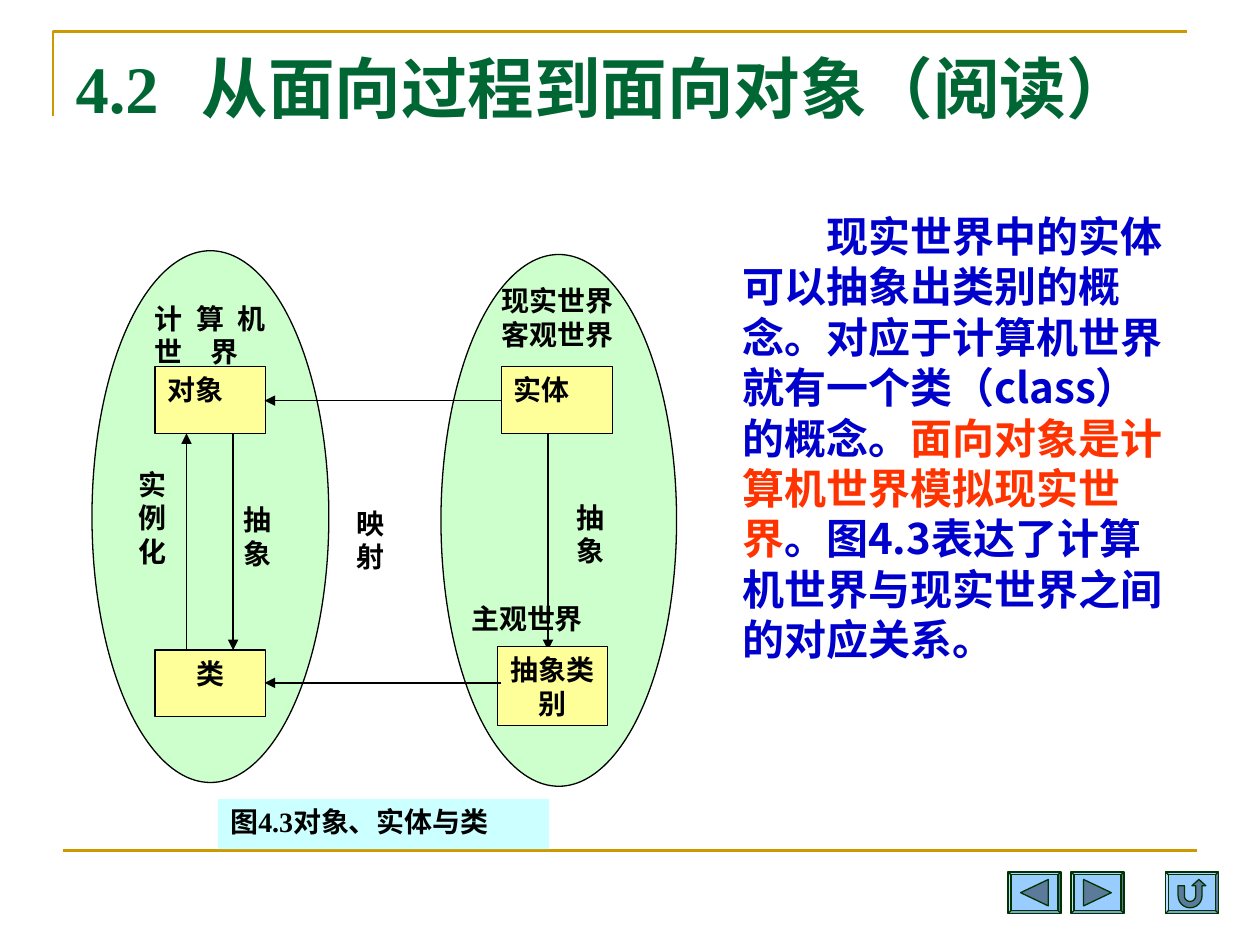
from math import cos, pi, sin

from lxml.etree import SubElement
from pptx import Presentation
from pptx.dml.color import RGBColor
from pptx.enum.shapes import MSO_CONNECTOR, MSO_SHAPE
from pptx.enum.text import MSO_AUTO_SIZE, PP_ALIGN
from pptx.oxml.ns import qn
from pptx.util import Inches, Pt

THEME = {
    "gold": "CC9900", "title": "006633", "ink": "000000", "blue": "0000CC",
    "red": "FF3300", "world": "CCFFCC", "box": "FFFF99", "caption": "CCFFFF",
    "button": "99CCFF", "icon": "5C7A99", "button_line": "003300",
    "latin": "Times New Roman", "cjk": "Noto Sans CJK SC",
    "title_size": 38, "body_size": 24, "label_size": 16,
    "leading": 1.2, "thin": 0.75, "rule": 1.5,
}

# Content: positions are (left, top, width, height) in inches
TITLE = "4.2\t从面向过程到面向对象（阅读）"
BODY = [
    ("现实世界中的实体可以抽象出类别的概念。对应于计算机世界就有一个类（class）的概念。", "blue"),
    ("面向对象是计算机世界模拟现实世界", "red"),
    ("。图4.3表达了计算机世界与现实世界之间的对应关系。", "blue"),
]
WORLDS = [(0.73, 1.99, 1.88, 4.22), (3.5, 2.02, 1.87, 4.22)]
BOXES = [
    ("对象", (1.23, 2.91, 0.88, 0.53), PP_ALIGN.JUSTIFY),
    ("类", (1.23, 5.16, 0.88, 0.53), PP_ALIGN.CENTER),
    ("实体", (3.98, 2.91, 0.88, 0.53), PP_ALIGN.JUSTIFY),
    ("抽象类别", (3.95, 5.13, 0.87, 0.63), PP_ALIGN.CENTER),
]
CAPTION = ("图4.3对象、实体与类", (1.73, 6.34, 2.63, 0.4))
LABELS = [  # text, position, side margin, top margin
    ("计算机世　界", (1.23, 2.39, 0.88, 0.4), 0, 0),
    ("现实世界\n客观世界", (3.98, 2.25, 1, 0.32), 0, 0),
    ("抽象", (4.48, 3.97, 0.63, 0.26), 0.1, 0),
    ("抽象", (1.93, 3.99, 0.35, 0.56), 0, 0),
    ("实例化", (1.1, 3.71, 0.25, 1.06), 0, 0),
    ("映射", (2.73, 3.97, 0.63, 0.4), 0.1, 0.05),
    ("主观世界", (3.74, 4.77, 0.92, 0.25), 0, 0),
]
VERTICAL_ARROWS = [(1.85, 3.44, 1.85, 5.16), (1.48, 5.16, 1.48, 3.44), (4.35, 3.44, 4.35, 5.16)]
MAPPING_ARROWS = [(3.98, 3.18, 2.1, 3.18), (3.98, 5.42, 2.1, 5.42)]


def arc(radius, start, end, steps=12):
    """Points of an arc around the bend of the return icon."""
    angles = [start + (end - start) * step / steps for step in range(steps + 1)]
    return [(0.195 + radius * cos(angle), 0.19 + radius * sin(angle)) for angle in angles]


# Icon outlines, relative to the corner of their button
RETURN_ICON = (
    [(0.1, 0.11), (0.15, 0.11)] + arc(0.045, pi, 0)
    + [(0.24, 0.11), (0.21, 0.11), (0.265, 0.06), (0.32, 0.11), (0.29, 0.11)]
    + arc(0.095, 0, pi)
)
BUTTONS = [
    (8, [(0.1, 0.165), (0.32, 0.06), (0.32, 0.27)]),
    (8.5, [(0.1, 0.06), (0.32, 0.165), (0.1, 0.27)]),
    (9.25, RETURN_ICON),
]
BUTTON_TOP, BUTTON_WIDTH, BUTTON_HEIGHT = 6.92, 0.42, 0.33


def rgb(name):
    return RGBColor.from_string(THEME[name])


def place(at):
    return [Inches(length) for length in at]


def style_shape(shape, fill=None, line=None, width=THEME["thin"]):
    shape.shadow.inherit = False
    if fill:
        shape.fill.solid()
        shape.fill.fore_color.rgb = rgb(fill)
    else:
        shape.fill.background()
    if line:
        shape.line.color.rgb = rgb(line)
        shape.line.width = Pt(width)
    else:
        shape.line.fill.background()


def style_paragraph(paragraph, size, align):
    paragraph.alignment = align
    paragraph.line_spacing = Pt(size * THEME["leading"])
    paragraph.space_before = Pt(0)


def style_run(run, size, color, latin=THEME["latin"]):
    run.font.size, run.font.bold, run.font.name = Pt(size), True, latin
    run.font.color.rgb = rgb(color)
    SubElement(run._r.get_or_add_rPr(), qn("a:ea")).set("typeface", THEME["cjk"])


def set_frame(shape, side=0.1, top=0.05):
    frame = shape.text_frame
    frame.word_wrap, frame.auto_size = True, MSO_AUTO_SIZE.NONE
    frame.vertical_anchor = 1  # top
    frame.margin_left = frame.margin_right = Inches(side)
    frame.margin_top = frame.margin_bottom = Inches(top)


def write_label(shape, text, align=PP_ALIGN.JUSTIFY, side=0.1, top=0.05):
    set_frame(shape, side, top)
    shape.text_frame.text = text
    for paragraph in shape.text_frame.paragraphs:
        style_paragraph(paragraph, THEME["label_size"], align)
        style_run(paragraph.runs[0], THEME["label_size"], "ink")


def add_line(slide, ends, color, width, arrow=False):
    connector = slide.shapes.add_connector(MSO_CONNECTOR.STRAIGHT, *place(ends))
    connector.line.color.rgb = rgb(color)
    connector.line.width = Pt(width)
    if arrow:
        SubElement(connector.line._get_or_add_ln(), qn("a:tailEnd")).set("type", "triangle")
    SubElement(connector._element.spPr, qn("a:effectLst"))


def add_outline(slide, points, close=True):
    start, *rest = [place(point) for point in points]
    builder = slide.shapes.build_freeform(*start)
    builder.add_line_segments(rest, close=close)
    return builder.convert_to_shape()


def add_frame_and_text(slide):
    # Corner frame and footer rule
    corner = add_outline(slide, [(0.42, 0.92), (0.42, 0.25), (9.42, 0.25)], close=False)
    style_shape(corner, line="gold", width=THEME["rule"])
    add_line(slide, (0.5, 6.75, 9.5, 6.75), "gold", THEME["rule"])

    # Title, with a tab stop after the section number
    title, body = slide.shapes.title, slide.placeholders[1]
    title.left, title.top, title.width, title.height = place((0.5, 0.3, 9, 0.93))
    set_frame(title, top=0.07)
    title.text_frame.text = TITLE
    paragraph = title.text_frame.paragraphs[0]
    tabs = SubElement(paragraph._p.get_or_add_pPr(), qn("a:tabLst"))
    SubElement(tabs, qn("a:tab"), pos=str(Inches(1)), algn="l")
    style_paragraph(paragraph, THEME["title_size"], PP_ALIGN.LEFT)
    style_run(paragraph.runs[0], THEME["title_size"], "title")

    # Body paragraph, first line indented by two characters
    body.left, body.top, body.width, body.height = place((5.79, 1.62, 3.54, 3.7))
    set_frame(body)
    paragraph = body.text_frame.paragraphs[0]
    properties = paragraph._p.get_or_add_pPr()
    properties.set("marL", "0")
    properties.set("indent", str(Pt(2 * THEME["body_size"])))
    properties.set("hangingPunct", "0")
    SubElement(properties, qn("a:buNone"))
    style_paragraph(paragraph, THEME["body_size"], PP_ALIGN.LEFT)
    for text, color in BODY:
        run = paragraph.add_run()
        run.text = text
        style_run(run, THEME["body_size"], color, THEME["cjk"])


def add_diagram(slide):
    shapes = slide.shapes
    for at in WORLDS:
        style_shape(shapes.add_shape(MSO_SHAPE.OVAL, *place(at)), "world", "ink")
    for ends in VERTICAL_ARROWS:
        add_line(slide, ends, "ink", THEME["thin"], arrow=True)
    for text, at, align in BOXES:
        box = shapes.add_shape(MSO_SHAPE.RECTANGLE, *place(at))
        style_shape(box, "box", "ink")
        write_label(box, text, align)
    for ends in MAPPING_ARROWS:
        add_line(slide, ends, "ink", THEME["thin"], arrow=True)
    for text, at, side, top in LABELS:
        write_label(shapes.add_textbox(*place(at)), text, side=side, top=top)
    text, at = CAPTION
    caption = shapes.add_shape(MSO_SHAPE.RECTANGLE, *place(at))
    style_shape(caption, "caption")
    write_label(caption, text)


def add_buttons(slide):
    for left, icon in BUTTONS:
        at = (left, BUTTON_TOP, BUTTON_WIDTH, BUTTON_HEIGHT)
        button = slide.shapes.add_shape(MSO_SHAPE.BEVEL, *place(at))
        button.adjustments[0] = 0.07
        style_shape(button, "button", "button_line")
        points = [(left + x, BUTTON_TOP + y) for x, y in icon]
        style_shape(add_outline(slide, points), "icon", "button_line")


def main():
    presentation = Presentation()
    presentation.slide_width, presentation.slide_height = Inches(10), Inches(7.5)
    slide = presentation.slides.add_slide(presentation.slide_layouts[1])
    add_frame_and_text(slide)
    add_diagram(slide)
    add_buttons(slide)
    presentation.save("out.pptx")


if __name__ == "__main__":
    main()
